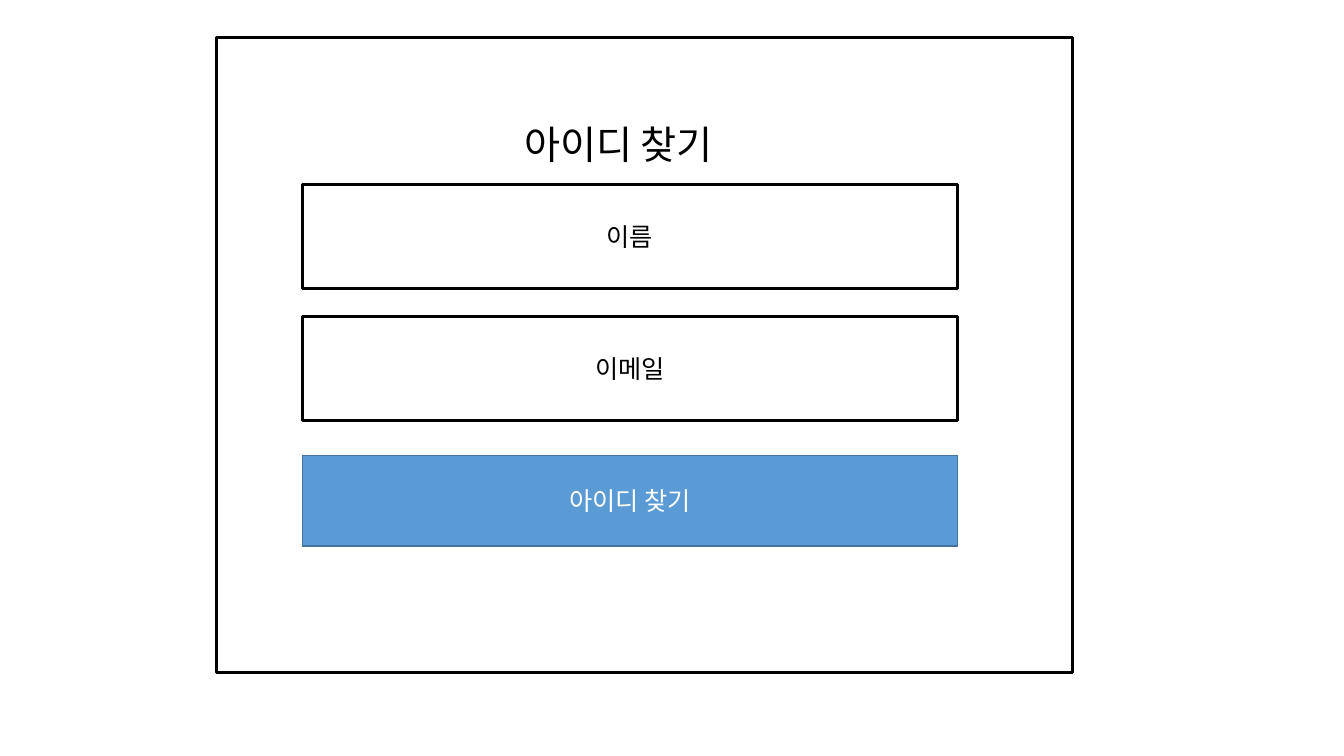
"""Build the find-my-ID form wireframe slide."""
from lxml import etree
from pptx import Presentation
from pptx.dml.color import RGBColor
from pptx.enum import shapes, text
from pptx.oxml import ns
from pptx.util import Pt

FONT = "Noto Sans CJK KR"
BLACK, WHITE, BLUE, DARK_BLUE = "000000", "FFFFFF", "5B9BD5", "43739E"
HEADING = "아이디 찾기"
HEADING_BOX = (367.2, 82.1, 165.6, 41)
FRAME_BOX = (154.8, 26.6, 611.3, 453.6)
FORM_LEFT, FORM_WIDTH = 216, 468

OUTLINED = {"fill": None, "line": BLACK, "weight": 2, "color": BLACK}
FILLED = {"fill": BLUE, "line": DARK_BLUE, "weight": 1, "color": WHITE}
FORM_ROWS = [
    ("이름", 131.8, 74.2, OUTLINED),
    ("이메일", 226.1, 74.2, OUTLINED),
    ("아이디 찾기", 325.4, 64.8, FILLED),
]


def rgb(color):
    return RGBColor.from_string(color)


def write(part, wording, size, color, align, frame_format):
    frame = part.text_frame
    for name, value in frame_format.items():
        setattr(frame, name, value)
    paragraph = frame.paragraphs[0]
    paragraph.alignment = align
    run = paragraph.add_run()
    run.text = wording
    for name, value in {"name": FONT, "size": Pt(size), "bold": False}.items():
        setattr(run.font, name, value)
    run.font.color.rgb = rgb(color)
    east_asian = etree.SubElement(run.font._element, ns.qn("a:ea"))
    east_asian.set("typeface", FONT)


def add_box(slide, box, style):
    part = slide.shapes.add_shape(shapes.MSO_SHAPE.RECTANGLE, *map(Pt, box))
    part.shadow.inherit = False
    if style["fill"]:
        part.fill.solid()
        part.fill.fore_color.rgb = rgb(style["fill"])
    else:
        part.fill.background()
    part.line.color.rgb = rgb(style["line"])
    part.line.width = Pt(style["weight"])
    return part


def main():
    deck = Presentation()
    deck.slide_width, deck.slide_height = Pt(960), Pt(540)
    slide = deck.slides.add_slide(deck.slide_layouts[5])

    add_box(slide, FRAME_BOX, OUTLINED)

    heading = slide.shapes.title
    for name, value in zip(("left", "top", "width", "height"), HEADING_BOX):
        setattr(heading, name, Pt(value))
    write(heading, HEADING, 28, BLACK, text.PP_ALIGN.LEFT, {
        "word_wrap": False,
        "auto_size": text.MSO_AUTO_SIZE.SHAPE_TO_FIT_TEXT,
        "vertical_anchor": text.MSO_ANCHOR.TOP,
    })

    for label, top, height, style in FORM_ROWS:
        row = add_box(slide, (FORM_LEFT, top, FORM_WIDTH, height), style)
        write(row, label, 18, style["color"], text.PP_ALIGN.CENTER, {
            "word_wrap": True,
            "vertical_anchor": text.MSO_ANCHOR.MIDDLE,
        })

    deck.save("out.pptx")


if __name__ == "__main__":
    main()
